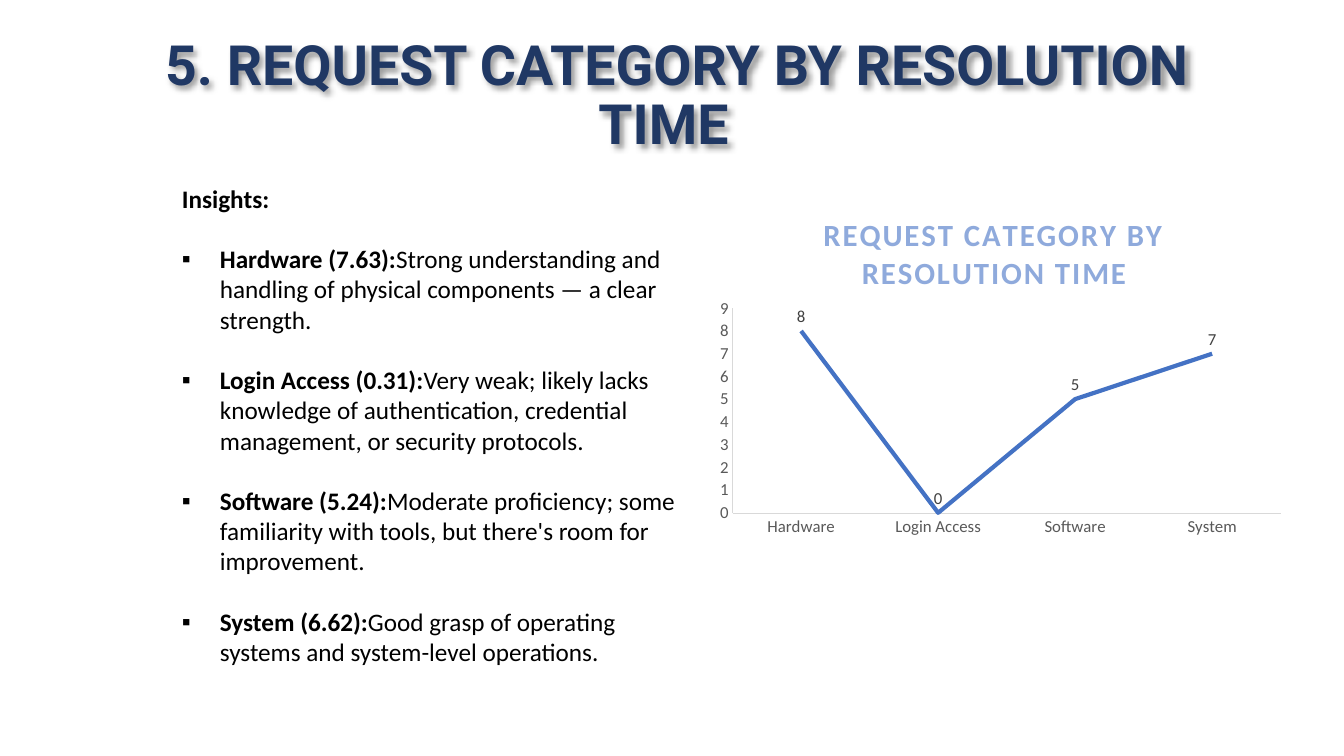
import pptx
import pptx.util
import pptx.chart.data
import pptx.dml.color
import pptx.enum.chart
import pptx.enum.text
import pptx.oxml
import pptx.oxml.ns

PX = 914400 / 100.8
NAVY = pptx.dml.color.RGBColor(0x20, 0x38, 0x64)
BLACK = pptx.dml.color.RGBColor(0, 0, 0)
LIGHT_BLUE = pptx.dml.color.RGBColor(0x8F, 0xAA, 0xDC)
BLUE = pptx.dml.color.RGBColor(0x44, 0x72, 0xC4)
GREY = pptx.dml.color.RGBColor(0x59, 0x59, 0x59)
DARK_GREY = pptx.dml.color.RGBColor(0x40, 0x40, 0x40)
PALE_GREY = pptx.dml.color.RGBColor(0xD9, 0xD9, 0xD9)

HEADING = "5. REQUEST CATEGORY BY RESOLUTION TIME"
CHART_HEADING = "REQUEST CATEGORY BY RESOLUTION TIME"
INSIGHTS = [
    ("Hardware", 7.63, "Strong understanding and handling of physical components — a clear strength."),
    ("Login Access", 0.31, "Very weak; likely lacks knowledge of authentication, credential management, "
                           "or security protocols."),
    ("Software", 5.24, "Moderate proficiency; some familiarity with tools, but there's room for improvement."),
    ("System", 6.62, "Good grasp of operating systems and system-level operations."),
]
SHADOW = (
    '<a:effectLst %s><a:outerShdw blurRad="50800" dist="38100" dir="2700000" algn="tl" rotWithShape="0">'
    '<a:srgbClr val="000000"><a:alpha val="40000"/></a:srgbClr></a:outerShdw></a:effectLst>'
)
BULLET = ('<a:buFont %s typeface="Arial"/>', '<a:buChar %s char="▪"/>')
LAYOUT = (
    '<c:layout %s><c:manualLayout>{target}<c:xMode val="edge"/><c:yMode val="edge"/>'
    '<c:x val="{x}"/><c:y val="{y}"/>{size}</c:manualLayout></c:layout>'
)


def px(length):
    """Turn pixels into EMU."""
    return pptx.util.Emu(round(length * PX))


def style(font, name, size, color, bold=False):
    """Set the look of a font."""
    font.name, font.size, font.bold = name, pptx.util.Pt(size), bold
    font.color.rgb = color


def indent(paragraph, left, first):
    """Set the left margin and first-line indent of a paragraph."""
    properties = paragraph._p.get_or_add_pPr()
    properties.set("marL", str(px(left)))
    properties.set("indent", str(px(first)))
    return properties


def add_text(slide, left, top, width, height):
    """Add a wrapping text box and return it."""
    box = slide.shapes.add_textbox(px(left), px(top), px(width), px(height))
    box.text_frame.word_wrap = True
    return box


def add_heading(slide):
    """Add the slide heading with its soft shadow."""
    heading = add_text(slide, 84, 26, 1159, 142)
    heading.text_frame.vertical_anchor = pptx.enum.text.MSO_ANCHOR.MIDDLE
    line = heading.text_frame.paragraphs[0]
    line.text = HEADING
    line.alignment = pptx.enum.text.PP_ALIGN.CENTER
    line.line_spacing = 0.9
    style(line.font, "Roboto", 39.6, NAVY, True)
    indent(line, 0, 27)
    heading._element.spPr.append(pptx.oxml.parse_xml(SHADOW % pptx.oxml.ns.nsdecls("a")))


def add_insights(slide):
    """Add the bulleted insights."""
    frame = add_text(slide, 172, 178, 534, 499).text_frame
    lead = frame.paragraphs[0]
    lead.text = "Insights:"
    style(lead.font, "Calibri", 18, BLACK, True)
    for category, score, remark in INSIGHTS:
        insight = frame.add_paragraph()
        insight.space_before = pptx.util.Pt(21.6)
        style(insight.font, "Calibri", 18, BLACK)
        label = insight.add_run()
        label.text = f"{category} ({score}):"
        label.font.bold = True
        insight.add_run().text = remark
        properties = indent(insight, 38, -38)
        for part in BULLET:
            element = pptx.oxml.parse_xml(part % pptx.oxml.ns.nsdecls("a"))
            properties.insert_element_before(element, "a:tabLst", "a:defRPr", "a:extLst")


def layout(x, y, width=None, height=None):
    """Build a manual chart layout, with an inner size if one is given."""
    target = '<c:layoutTarget val="inner"/>' if width else ""
    size = f'<c:w val="{width}"/><c:h val="{height}"/>' if width else ""
    xml = LAYOUT.format(target=target, x=x, y=y, size=size)
    return pptx.oxml.parse_xml(xml % pptx.oxml.ns.nsdecls("c"))


def style_axis(axis):
    """Give an axis its thin line and grey labels."""
    axis.has_major_gridlines = False
    axis.major_tick_mark = axis.minor_tick_mark = pptx.enum.chart.XL_TICK_MARK.NONE
    axis.format.line.color.rgb = PALE_GREY
    axis.format.line.width = pptx.util.Pt(0.25)
    style(axis.tick_labels.font, "Calibri", 12, GREY)


def add_resolution_chart(slide):
    """Add the line chart of rounded resolution times."""
    data = pptx.chart.data.CategoryChartData(number_format="0")
    data.categories = [category for category, _, _ in INSIGHTS]
    data.add_series("Series 1", [round(score) for _, score, _ in INSIGHTS])
    chart = slide.shapes.add_chart(pptx.enum.chart.XL_CHART_TYPE.LINE_STACKED,
                                   px(690), px(193), px(609), px(372), data).chart
    chart.has_legend = False
    style(chart.font, "Calibri", 10, BLACK)
    caption = chart.chart_title.text_frame.paragraphs[0]
    caption.text = CHART_HEADING
    style(caption.font, "Calibri", 22, LIGHT_BLUE, True)
    caption.font._element.set("spc", "150")
    title = chart.chart_title._element
    for automatic in title.findall(pptx.oxml.ns.qn("c:layout")):
        title.remove(automatic)
    title.find(pptx.oxml.ns.qn("c:tx")).addnext(layout(0.21, 0.04))
    chart.chart_title.include_in_layout = False

    plot_area = chart._chartSpace.chart.plotArea
    for automatic in plot_area.findall(pptx.oxml.ns.qn("c:layout")):
        plot_area.remove(automatic)
    plot_area.insert(0, layout(0.07, 0.31, 0.9, 0.55))
    style_axis(chart.category_axis)
    style_axis(chart.value_axis)
    chart.value_axis.minimum_scale, chart.value_axis.maximum_scale = 0, 9
    chart.value_axis.major_unit = 1
    chart.value_axis.tick_labels.number_format = "0"
    chart.value_axis.tick_labels.number_format_is_linked = False

    plot = chart.plots[0]
    plot.vary_by_categories = False
    times = plot.series[0]
    times.smooth = False
    times.marker.style = pptx.enum.chart.XL_MARKER_STYLE.NONE
    times.format.line.color.rgb = BLUE
    times.format.line.width = pptx.util.Pt(3)
    labels = times.data_labels
    labels.show_value = True
    labels.number_format, labels.number_format_is_linked = "0", False
    labels.position = pptx.enum.chart.XL_LABEL_POSITION.ABOVE
    style(labels.font, "Calibri", 12, DARK_GREY)


def main():
    """Build the slide and save it."""
    deck = pptx.Presentation()
    deck.slide_width, deck.slide_height = px(1344), px(756)
    slide = deck.slides.add_slide(deck.slide_layouts[6])
    add_heading(slide)
    add_insights(slide)
    add_resolution_chart(slide)
    deck.save("out.pptx")


if __name__ == "__main__":
    main()
